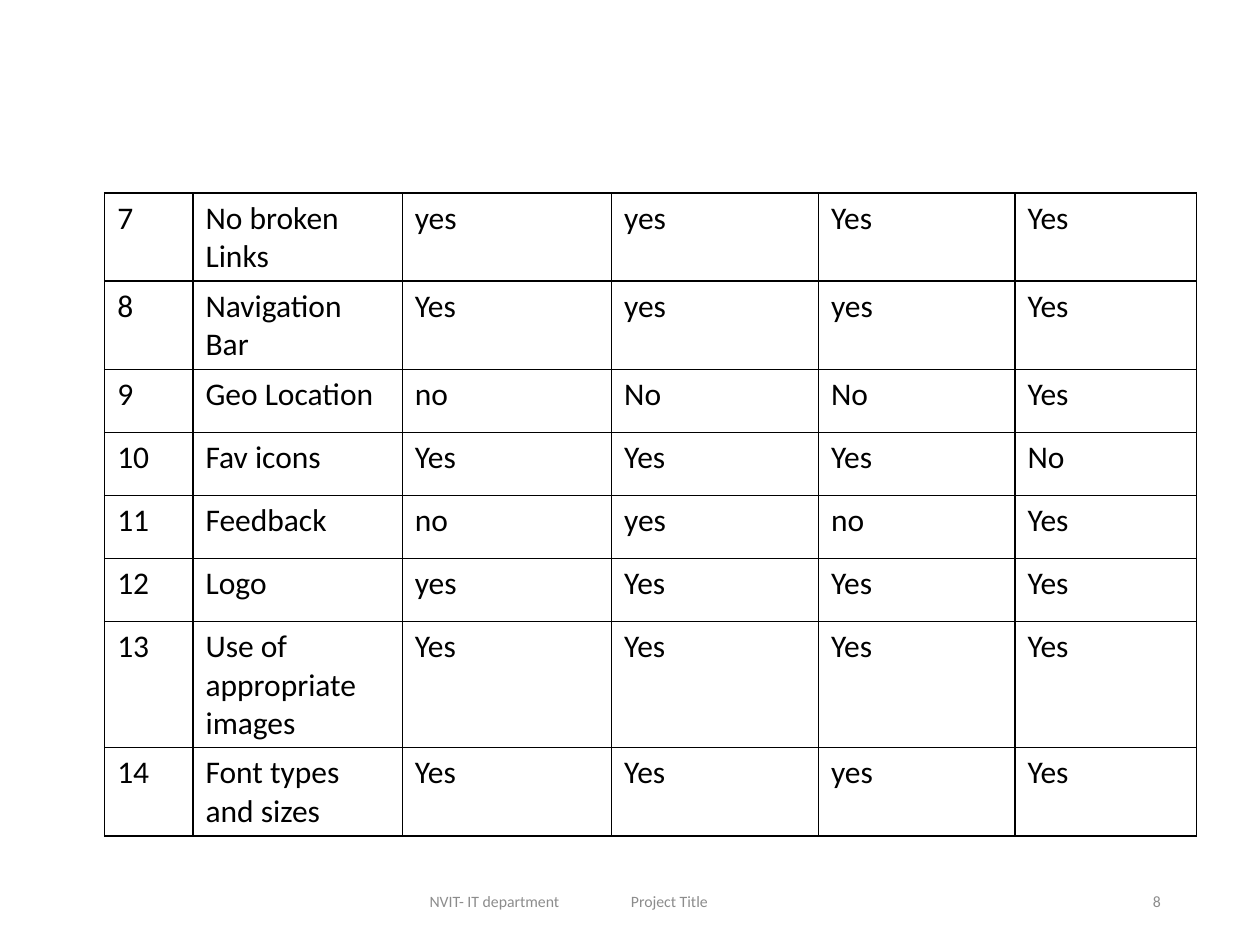
from lxml import etree
from pptx import Presentation
from pptx.dml.color import RGBColor
from pptx.enum.text import MSO_ANCHOR, PP_ALIGN
from pptx.oxml.ns import qn
from pptx.util import Cm, Pt

BLACK = RGBColor(0x00, 0x00, 0x00)
GRAY = RGBColor(0x8C, 0x8C, 0x8C)
LEFT = PP_ALIGN.LEFT
RIGHT = PP_ALIGN.RIGHT
MIDDLE = MSO_ANCHOR.MIDDLE
BLANK_LAYOUT = 6

COLUMN_WIDTHS = [1.78, 4.22, 4.22, 4.17, 3.96, 3.66]
ROW_HEIGHT = 1.27
FEATURES = [
    ("7", "No broken Links", "yes", "yes", "Yes", "Yes"),
    ("8", "Navigation Bar", "Yes", "yes", "yes", "Yes"),
    ("9", "Geo Location", "no", "No", "No", "Yes"),
    ("10", "Fav icons", "Yes", "Yes", "Yes", "No"),
    ("11", "Feedback", "no", "yes", "no", "Yes"),
    ("12", "Logo", "yes", "Yes", "Yes", "Yes"),
    ("13", "Use of appropriate images", "Yes", "Yes", "Yes", "Yes"),
    ("14", "Font types and sizes", "Yes", "Yes", "yes", "Yes"),
]


class SlideBuilder:
    font_name = "Calibri"
    border_width = Pt(1)

    def __init__(self, slide):
        self.slide = slide

    def format_text(self, paragraph, size, color):
        for run in paragraph.runs:
            run.font.name = self.font_name
            run.font.size = Pt(size)
            run.font.color.rgb = color

    def add_footer(self, text, left, width, alignment, tab=None):
        shape = self.slide.shapes.add_textbox(Cm(left), Cm(17.65), Cm(width), Cm(1.02))
        text_frame = shape.text_frame
        text_frame.word_wrap = True
        text_frame.vertical_anchor = MIDDLE
        text_frame.text = text
        paragraph = text_frame.paragraphs[0]
        paragraph.alignment = alignment
        self.format_text(paragraph, 9, GRAY)
        if tab:
            properties = paragraph._p.get_or_add_pPr()
            tab_list = etree.SubElement(properties, qn("a:tabLst"))
            etree.SubElement(tab_list, qn("a:tab"), pos=str(Cm(tab)), algn="l")

    def add_borders(self, cell):
        properties = cell._tc.get_or_add_tcPr()
        for side in ("lnL", "lnR", "lnT", "lnB"):
            line = etree.SubElement(properties, qn(f"a:{side}"), w=str(self.border_width))
            fill = etree.SubElement(line, qn("a:solidFill"))
            etree.SubElement(fill, qn("a:srgbClr"), val=str(BLACK))

    def add_table(self, rows, left, top, column_widths, row_height):
        table = self.slide.shapes.add_table(
            len(rows), len(column_widths), Cm(left), Cm(top),
            Cm(sum(column_widths)), Cm(row_height * len(rows)),
        ).table
        table.first_row = False
        table.horz_banding = False
        for column, width in zip(table.columns, column_widths):
            column.width = Cm(width)
        for table_row, values in zip(table.rows, rows):
            table_row.height = Cm(row_height)
            for cell, value in zip(table_row.cells, values):
                cell.text_frame.text = value
                self.format_text(cell.text_frame.paragraphs[0], 18, BLACK)
                self.add_borders(cell)
                cell.fill.background()


def main():
    presentation = Presentation()
    presentation.slide_width = Cm(25.4)
    presentation.slide_height = Cm(19.05)
    layout = presentation.slide_layouts[BLANK_LAYOUT]
    builder = SlideBuilder(presentation.slides.add_slide(layout))
    builder.add_footer("NVIT- IT department\tProject Title", 8.41, 8.59, LEFT, tab=4.06)
    builder.add_footer("8", 17.93, 5.72, RIGHT)
    builder.add_table(FEATURES, 2.11, 3.89, COLUMN_WIDTHS, ROW_HEIGHT)
    presentation.save("out.pptx")


if __name__ == "__main__":
    main()
